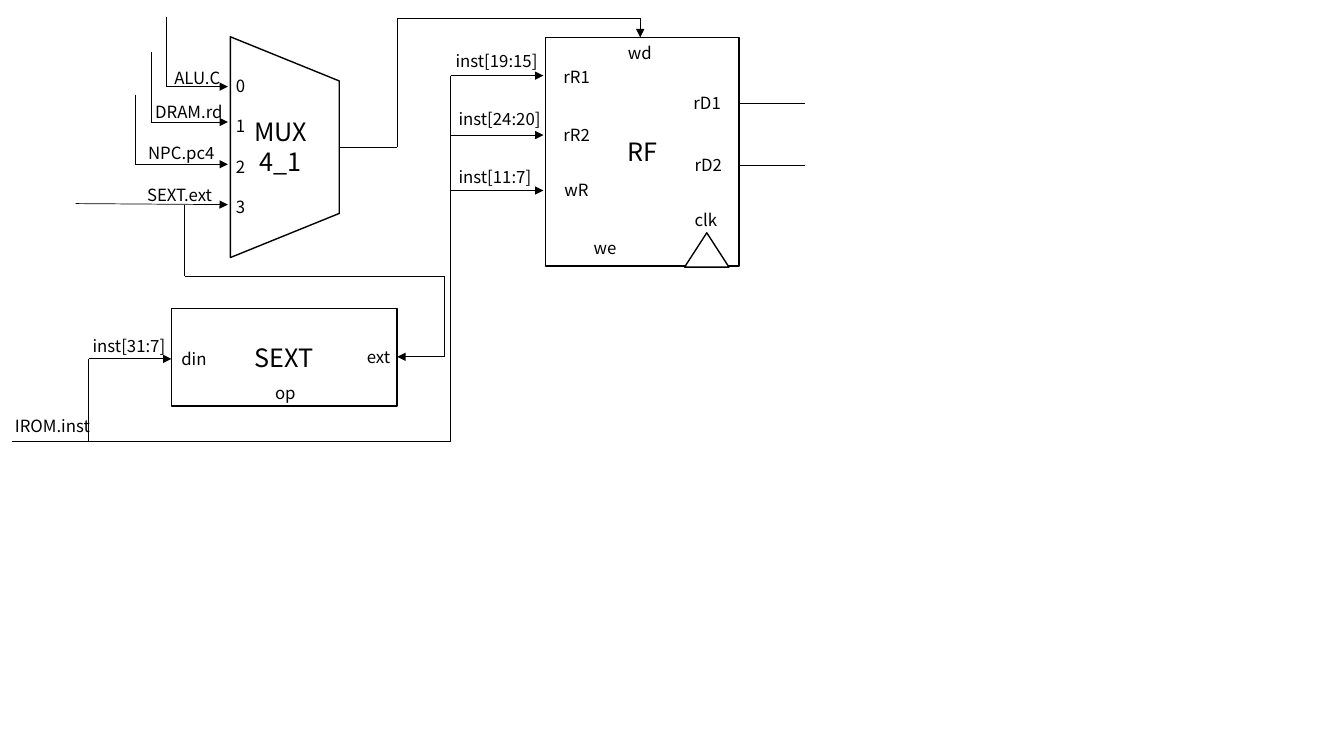
from itertools import pairwise

from lxml import etree
from pptx import Presentation
from pptx.dml.color import RGBColor
from pptx.enum.shapes import MSO_CONNECTOR, MSO_SHAPE
from pptx.enum.text import MSO_ANCHOR, MSO_AUTO_SIZE, PP_ALIGN
from pptx.oxml.ns import qn
from pptx.util import Inches, Pt

STRAIGHT = MSO_CONNECTOR.STRAIGHT
RECTANGLE = MSO_SHAPE.RECTANGLE
TRIANGLE = MSO_SHAPE.ISOSCELES_TRIANGLE
TRAPEZOID = MSO_SHAPE.FLOWCHART_MANUAL_OPERATION
MIDDLE = MSO_ANCHOR.MIDDLE
GROW = MSO_AUTO_SIZE.SHAPE_TO_FIT_TEXT
LEFT, CENTER = PP_ALIGN.LEFT, PP_ALIGN.CENTER


def color(hex_code):
    return RGBColor.from_string(hex_code)


def write(frame, text, size=12, align=LEFT, gap=0, ink="000000", font="Noto Sans CJK SC"):
    """Fill a text frame, one paragraph per line, with gap points between them."""
    for index, line in enumerate(text.split("\n")):
        paragraph = frame.add_paragraph() if index else frame.paragraphs[0]
        paragraph.alignment = align
        paragraph.space_before = Pt(gap if index else 0)
        run = paragraph.add_run()
        run.text = line
        run.font.size = Pt(size)
        run.font.name = font
        run.font.color.rgb = color(ink)
        east_asian = etree.SubElement(run.font._element, qn("a:ea"))
        east_asian.set("typeface", font)


class Diagram:
    ink = "000000"
    paper = "FFFFFF"
    outline = 1
    wire_width = 0.5

    def __init__(self, slide):
        self.shapes = slide.shapes

    def block(self, kind, left, top, width, height, title="", rotation=0):
        body = self.shapes.add_shape(kind, Inches(left), Inches(top), Inches(width), Inches(height))
        body.shadow.inherit = False
        body.rotation = rotation
        body.fill.solid()
        body.fill.fore_color.rgb = color(self.paper)
        body.line.color.rgb = color(self.ink)
        body.line.width = Pt(self.outline)
        if title:
            body.text_frame.vertical_anchor = MIDDLE
            write(body.text_frame, title, size=18, align=CENTER)

    def label(self, text, left, top, width=0.56, height=0.3, **style):
        frame = self.shapes.add_textbox(
            Inches(left), Inches(top), Inches(width), Inches(height)).text_frame
        frame.word_wrap = True
        frame.auto_size = GROW
        write(frame, text, ink=self.ink, **style)

    def wire(self, *points, arrow=False):
        """Join the points with straight segments; the last may end in an arrowhead."""
        for start, end in pairwise(points):
            segment = self.shapes.add_connector(STRAIGHT, *map(Inches, start + end))
            segment.line.color.rgb = color(self.ink)
            segment.line.width = Pt(self.wire_width)
            etree.SubElement(segment._element.spPr, qn("a:effectLst"))
        if arrow:
            line = segment.line._get_or_add_ln()
            etree.SubElement(line, qn("a:tailEnd")).set("type", "triangle")


def draw_blocks(diagram):
    diagram.block(RECTANGLE, 1.7, 3.06, 2.24, 0.97, "SEXT")
    diagram.block(TRAPEZOID, 1.73, 0.92, 2.19, 1.08, rotation=270)
    diagram.block(RECTANGLE, 5.41, 0.37, 1.92, 2.27, "RF")
    diagram.block(TRIANGLE, 6.79, 2.31, 0.44, 0.34)
    diagram.label("MUX\n4_1", 2.39, 1.1, 0.79, 0.71, size=18, align=CENTER)
    diagram.label("0\n1\n2\n3", 2.24, 0.7, 0.35, 1.51, gap=14.5)

    ports = [
        ("din", 1.7, 3.41), ("ext", 3.54, 3.39), ("op", 2.63, 3.75),
        ("clk", 6.79, 2.03), ("we", 5.79, 2.31), ("wd", 6.13, 0.37),
        ("rR1", 5.49, 0.61), ("rR2", 5.49, 1.19), ("wR", 5.5, 1.73),
        ("rD1", 6.78, 0.87), ("rD2", 6.79, 1.49),
    ]
    for port in ports:
        diagram.label(*port)


def draw_mux_inputs(diagram):
    mux_left, drop = 2.26, 0.69
    sources = [
        ("ALU.C", 1.63, 0.62, 1.51, 0.3, 1.65, 0.86),
        ("DRAM.rd", 1.44, 0.96, 1.38, 0.5, 1.5, 1.21),
        ("NPC.pc4", 1.37, 1.37, 0.92, 0.5, 1.34, 1.63),
    ]
    for *source_label, x, y in sources:
        diagram.wire((x, y - drop), (x, y), (mux_left, y), arrow=True)
        diagram.label(*source_label)
    diagram.wire((0.75, 2.02), (mux_left, 2.03), arrow=True)
    diagram.label("SEXT.ext", 1.36, 1.78, 0.99, 0.5)
    diagram.wire((1.83, 2.03), (1.83, 2.74), (4.41, 2.74), (4.41, 3.54), (3.94, 3.54), arrow=True)


def draw_instruction_bus(diagram):
    bus_x, bus_y, rf_left = 4.47, 4.38, 5.39
    fields = [
        ("inst[19:15]", 4.42, 0.45, 0.75),
        ("inst[24:20]", 4.45, 1.03, 1.34),
        ("inst[11:7]", 4.45, 1.61, 1.89),
    ]
    for field, left, top, y in fields:
        diagram.wire((bus_x, y), (rf_left, y), arrow=True)
        diagram.label(field, left, top, 1.19)
    diagram.wire((bus_x, 0.75), (bus_x, bus_y), (0.12, bus_y))
    diagram.wire((0.88, bus_y), (0.88, 3.56), (1.7, 3.56), arrow=True)
    diagram.label("inst[31:7]", 0.82, 3.28, 1.71)
    diagram.label("IROM.inst", 0.05, 4.08, 1.17)


def draw_register_wires(diagram):
    diagram.wire((3.36, 1.46), (3.94, 1.46), (3.94, 0.18), (6.35, 0.18), (6.35, 0.37), arrow=True)
    for y in (1.03, 1.64):
        diagram.wire((7.33, y), (7.98, y))


def main():
    deck = Presentation()
    deck.slide_width, deck.slide_height = Inches(13.33), Inches(7.5)
    diagram = Diagram(deck.slides.add_slide(deck.slide_layouts[6]))
    draw_blocks(diagram)
    draw_mux_inputs(diagram)
    draw_instruction_bus(diagram)
    draw_register_wires(diagram)
    deck.save("out.pptx")


if __name__ == "__main__":
    main()
